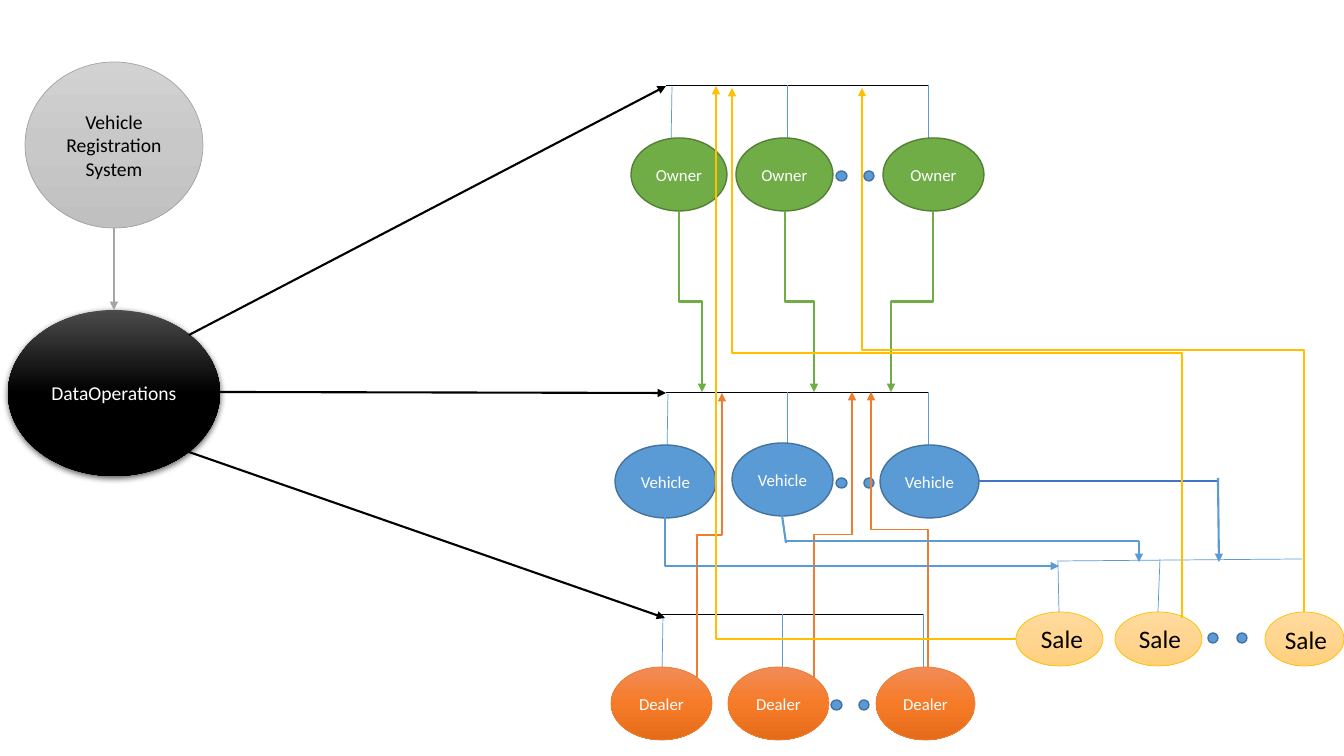
"""Build the vehicle registration data-flow slide."""
from copy import deepcopy

from lxml import etree
from pptx import Presentation, util as u
from pptx.dml.color import RGBColor
from pptx.enum import shapes, text as t
from pptx.oxml.ns import qn

SCALE = 914400 / 100.8
FONT = "Calibri"
COLORS = {
    "black": "000000", "white": "FFFFFF", "gray": "A5A5A5", "green": "70AD47",
    "green edge": "538035", "blue": "5B9BD5", "blue edge": "43739E",
    "royal": "4472C4", "orange": "ED7D31", "gold": "FFC000",
}
GRADIENTS = {
    "gray fade": ("D2D2D2", "C8C8C8", "C0C0C0"),
    "black fade": ("4B4B4B", "000000", "000000"),
    "orange fade": ("F18C57", "F67B28", "E56C19"),
    "gold fade": ("FFDB9E", "FFD590", "FFD07C"),
}

presentation = Presentation()
presentation.slide_width = u.Emu(round(1344 * SCALE))
presentation.slide_height = u.Emu(round(756 * SCALE))
slide = presentation.slides.add_slide(presentation.slide_layouts[6])


def add_ellipse(box, fill, edge=None, edge_width=0.5, label="", size=12, color="white"):
    shape = slide.shapes.add_shape(
        shapes.MSO_SHAPE.OVAL, *[u.Emu(round(v * SCALE)) for v in box])
    shape.shadow.inherit = False
    if fill in GRADIENTS:
        shape.fill.gradient()
        shape.fill.gradient_angle = 270
        stop_list = shape._element.spPr.find(".//" + qn("a:gsLst"))
        stop_list.append(deepcopy(stop_list[-1]))
        for index, stop in enumerate(shape.fill.gradient_stops):
            stop.color.rgb = RGBColor.from_string(GRADIENTS[fill][index])
            stop.position = index / 2
    else:
        shape.fill.solid()
        shape.fill.fore_color.rgb = RGBColor.from_string(COLORS[fill])
    if edge:
        shape.line.color.rgb = RGBColor.from_string(COLORS[edge])
        shape.line.width = u.Pt(edge_width)
    else:
        shape.line.fill.background()
    if label:
        frame = shape.text_frame
        frame.word_wrap = " " in label
        frame.vertical_anchor = t.MSO_ANCHOR.MIDDLE
        paragraph = frame.paragraphs[0]
        paragraph.text = label
        paragraph.alignment = t.PP_ALIGN.CENTER
        paragraph.font.name, paragraph.font.size = FONT, u.Pt(size)
        paragraph.font.color.rgb = RGBColor.from_string(COLORS[color])
    return shape


def connect(x1, y1, x2, y2, color, width=0.5, arrow=False, bend=None, vertical=False):
    ends = x1, y1, x2, y2
    if vertical:
        middle_x, middle_y = (x1 + x2) / 2, (y1 + y2) / 2
        half_w, half_h = abs(y2 - y1) / 2, abs(x2 - x1) / 2
        ends = middle_x - half_w, middle_y - half_h, middle_x + half_w, middle_y + half_h
    kind = shapes.MSO_CONNECTOR.ELBOW if bend else shapes.MSO_CONNECTOR.STRAIGHT
    connector = slide.shapes.add_connector(kind, *[u.Emu(round(v * SCALE)) for v in ends])
    connector.line.color.rgb = RGBColor.from_string(COLORS[color])
    connector.line.width = u.Pt(width)
    properties = connector._element.spPr
    if bend:
        properties.find(qn("a:prstGeom")).set("prst", bend)
    if vertical:
        transform = properties.find(qn("a:xfrm"))
        transform.set("rot", "5400000" if y2 > y1 else "16200000")
        if (y2 > y1) == (x2 > x1):
            transform.set("flipV", "1")
    if arrow:
        etree.SubElement(properties.find(qn("a:ln")), qn("a:tailEnd"), type="triangle")
    etree.SubElement(properties, qn("a:effectLst"))


add_ellipse((25, 62, 178, 166), "gray fade", "gray", 0.5,
            "Vehicle Registration System", 14, "black")
operations = add_ellipse((8, 310, 212, 166), "black fade", label="DataOperations", size=14)
effects = operations._element.spPr.find(qn("a:effectLst"))
shadow = etree.SubElement(effects, qn("a:outerShdw"), blurRad="57150", dist="19050",
                          dir="5400000", algn="ctr", rotWithShape="0")
shadow_color = etree.SubElement(shadow, qn("a:srgbClr"), val=COLORS["black"])
etree.SubElement(shadow_color, qn("a:alpha"), val="63000")
connect(114, 228, 114, 310, "gray", 1.5, True)

rows = [
    ("Owner", 666, 85, 672, "green", "green edge", 1,
     [(631, 0, 96), (736, 0, 97), (883, 0, 101)]),
    ("Vehicle", 666, 392, 668, "blue", "blue edge", 1,
     [(615, 0, 101), (732, -2, 101), (880, 0, 99)]),
    ("Dealer", 661, 614, 663, "orange fade", "orange", 0.5,
     [(611, 0, 101), (728, 0, 101), (876, 0, 99)]),
]
for name, rail_x, rail_y, first_drop, fill, edge, edge_width, nodes in rows:
    connect(rail_x, rail_y, rail_x + 262, rail_y, "black")
    connect(first_drop, rail_y + 2, first_drop - 1, rail_y + 63, "blue")
    for drop_x in (rail_x + 121, rail_x + 262):
        connect(drop_x, rail_y, drop_x, rail_y + 62, "blue")
    for left, shift, width in nodes:
        add_ellipse((left, rail_y + 53 + shift, width, 73), fill, edge, edge_width, name)
    for offset, width in ((170, 11), (198, 10)):
        add_ellipse((rail_x + offset, rail_y + 86, width, 10), "blue", "blue edge", 1)

for start_x, start_y, end_x, end_y in (
        (220, 392, 666, 393), (189, 452, 665, 618), (189, 335, 666, 86)):
    connect(start_x, start_y, end_x, end_y, "black", 1.5, True)

for color, width, paths in (
        ("green", 1.5, [(679, 211, 702, 392), (785, 211, 814, 392), (933, 211, 891, 392)]),
        ("orange", 1, [(697, 677, 722, 393), (814, 677, 852, 392), (928, 667, 871, 392)])):
    for ends in paths:
        connect(*ends, color, width, True, "bentConnector3", True)

for left, width, text_left, text_top in (
        (1016, 87, 1031, 618), (1265, 79, 1275, 619), (1115, 87, 1129, 618)):
    add_ellipse((left, 612, width, 54), "gold fade", "gold")
    label = slide.shapes.add_textbox(
        *[u.Emu(round(v * SCALE)) for v in (text_left, text_top, 69, 40)])
    label.text_frame.word_wrap = True
    paragraph = label.text_frame.paragraphs[0]
    paragraph.text = "Sale"
    paragraph.font.name, paragraph.font.size = FONT, u.Pt(18)
    paragraph.font.color.rgb = RGBColor.from_string(COLORS["black"])
for dot_x in (1208, 1237):
    add_ellipse((dot_x, 633, 10, 10), "blue", "blue edge", 1)

for ends in ((1059, 612, 1058, 562), (1057, 561, 1302, 559),
             (1304, 558, 1304, 612), (1160, 559, 1158, 612)):
    connect(*ends, "blue")

connect(665, 517, 1059, 566, "blue", 1.5, True, "bentConnector2", True)
connect(782, 515, 786, 543, "blue", 1.5)
connect(785, 541, 1139, 541, "blue", 1.5)
connect(1139, 541, 1139, 562, "blue", 1.5, True)
connect(979, 481, 1218, 481, "royal", 1.5)
connect(1218, 478, 1219, 562, "blue", 1.5, True)

connect(1304, 612, 862, 88, "gold", 1.5, True, "bentConnector3", True)
connect(1182, 618, 732, 88, "gold", 1.5, True, "bentConnector3", True)
connect(1016, 639, 716, 86, "gold", 1.5, True, "bentConnector2")

presentation.save("out.pptx")
